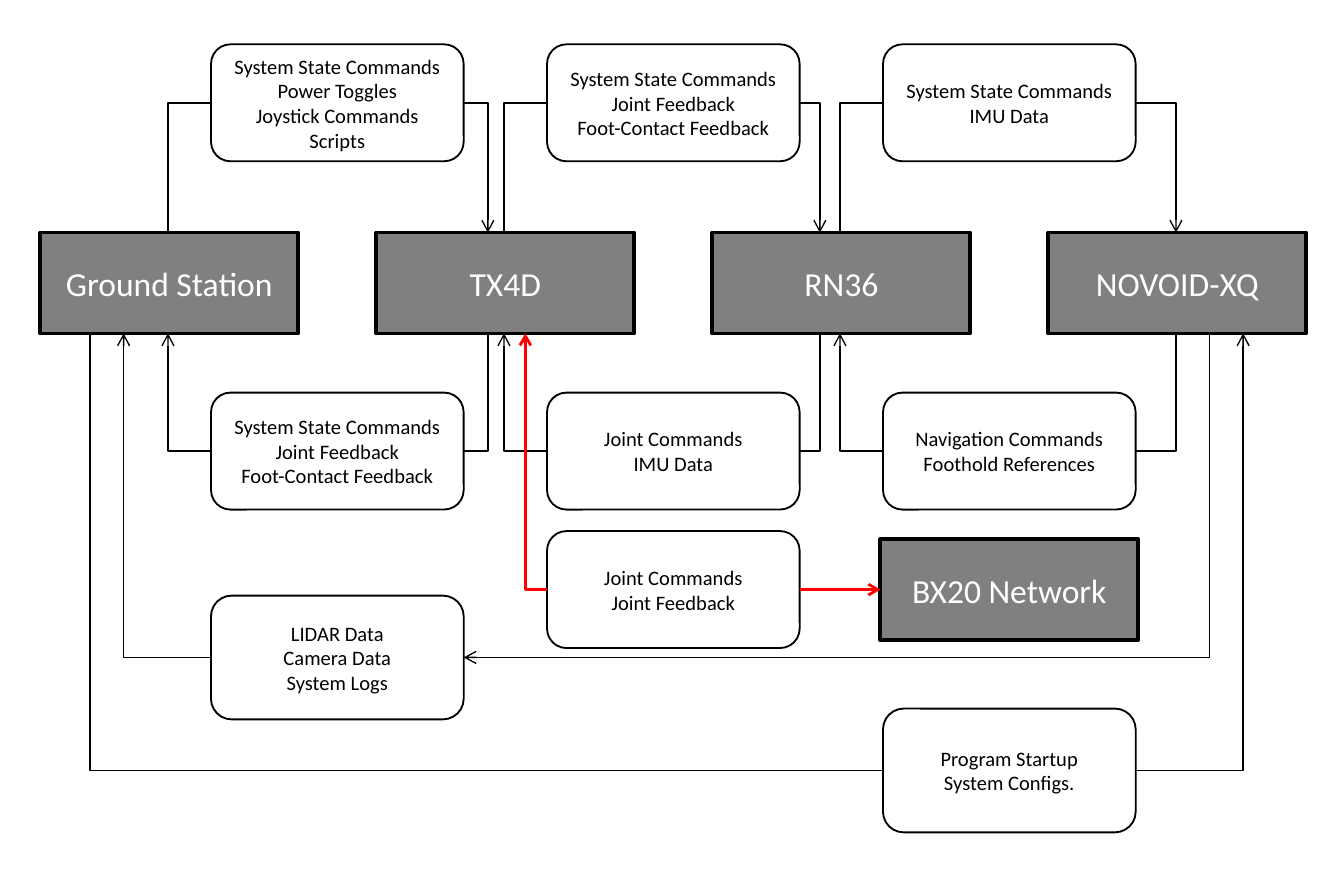
from dataclasses import dataclass

from lxml import etree
from pptx import Presentation
from pptx.dml.color import RGBColor
from pptx.enum import shapes, text
from pptx.oxml.ns import qn
from pptx.util import Inches, Pt


@dataclass(frozen=True)
class Theme:
    font: str = "Calibri"
    ink: RGBColor = RGBColor(0, 0, 0)
    block_fill: RGBColor = RGBColor(0x80, 0x80, 0x80)
    block_text: RGBColor = RGBColor(0xFF, 0xFF, 0xFF)
    servo_bus: RGBColor = RGBColor(0xFF, 0, 0)
    block_size: int = 18
    message_size: int = 11


theme = Theme()
deck = Presentation()
deck.slide_width, deck.slide_height = Inches(10), Inches(6.5)
slide = deck.slides.add_slide(deck.slide_layouts[6])


def add_box(kind, left, top, width, height, lines, size, color, border, fill=None):
    box = slide.shapes.add_shape(
        kind, Inches(left), Inches(top), Inches(width), Inches(height))
    box.shadow.inherit = False
    if fill is None:
        box.fill.background()
    else:
        box.fill.solid()
        box.fill.fore_color.rgb = fill
    box.line.color.rgb = theme.ink
    box.line.width = Pt(border)
    frame = box.text_frame
    frame.word_wrap = True
    frame.vertical_anchor = text.MSO_ANCHOR.MIDDLE
    frame.text = "\n".join(lines)
    for paragraph in frame.paragraphs:
        paragraph.alignment = text.PP_ALIGN.CENTER
        paragraph.font.name = theme.font
        paragraph.font.size = Pt(size)
        paragraph.font.color.rgb = color


def add_link(start, end, arrow, color, width):
    """Run sideways from start, then turn once towards end."""
    straight = start[1] == end[1]
    kind = shapes.MSO_CONNECTOR.STRAIGHT if straight else shapes.MSO_CONNECTOR.ELBOW
    link = slide.shapes.add_connector(kind, *map(Inches, start + end))
    link.line.color.rgb = color
    link.line.width = Pt(width)
    properties = link._element.spPr
    if not straight:
        properties.find(qn("a:prstGeom")).set("prst", "bentConnector2")
    if arrow:
        etree.SubElement(properties.find(qn("a:ln")), qn(f"a:{arrow}"), type="arrow")
    etree.SubElement(properties, qn("a:effectLst"))


# Controllers in a row, with the servo network below
pitch = 2.5
block_width, block_height = 1.92, 0.75
block_top = 1.73
block_bottom = block_top + block_height
controllers = ["Ground Station", "TX4D", "RN36", "NOVOID-XQ"]
blocks = [(0.3 + pitch * i, block_top, name) for i, name in enumerate(controllers)]
servo_left = 6.55
blocks.append((servo_left, 4.01, "BX20 Network"))
for left, top, name in blocks:
    add_box(shapes.MSO_SHAPE.RECTANGLE, left, top, block_width, block_height, [name],
            theme.block_size, theme.block_text, 2, theme.block_fill)

# Messages: column, top, height, lines, then the x and arrow of the left and right links
to_block, to_message = "tailEnd", "headEnd"
upper, lower, servo = 0.33, 2.92, 3.95
short, tall = 0.87, 0.92
messages = [
    (0, upper, short, ["System State Commands", "Power Toggles", "Joystick Commands",
                       "Scripts"], (1.25, None), (3.63, to_block)),
    (1, upper, short, ["System State Commands", "Joint Feedback",
                       "Foot-Contact Feedback"], (3.75, None), (6.1, to_block)),
    (2, upper, short, ["System State Commands", "IMU Data"],
     (6.25, None), (8.75, to_block)),
    (0, lower, short, ["System State Commands", "Joint Feedback",
                       "Foot-Contact Feedback"], (1.25, to_block), (3.63, None)),
    (1, lower, short, ["Joint Commands", "IMU Data"], (3.75, to_block), (6.1, None)),
    (2, lower, short, ["Navigation Commands", "Foothold References"],
     (6.25, to_block), (8.75, None)),
    (0, 4.43, tall, ["LIDAR Data", "Camera Data", "System Logs"],
     (0.92, to_block), (9, to_message)),
    (2, 5.27, tall, ["Program Startup", "System Configs."],
     (0.67, None), (9.25, to_block)),
    (1, servo, short, ["Joint Commands", "Joint Feedback"],
     (3.91, to_block), (servo_left, to_block)),
]
message_width = 1.88
for column, top, height, lines, left_link, right_link in messages:
    left = 1.57 + pitch * column
    middle = top + height / 2
    add_box(shapes.MSO_SHAPE.ROUNDED_RECTANGLE, left, top, message_width, height, lines,
            theme.message_size, theme.ink, 1)
    color, weight = (theme.servo_bus, 1.5) if top == servo else (theme.ink, 0.75)
    block_edge = block_top if top == upper else block_bottom
    for side, (x, arrow) in ((left, left_link), (left + message_width, right_link)):
        y = middle if x == servo_left else block_edge
        add_link((side, middle), (x, y), arrow, color, weight)

deck.save("out.pptx")
